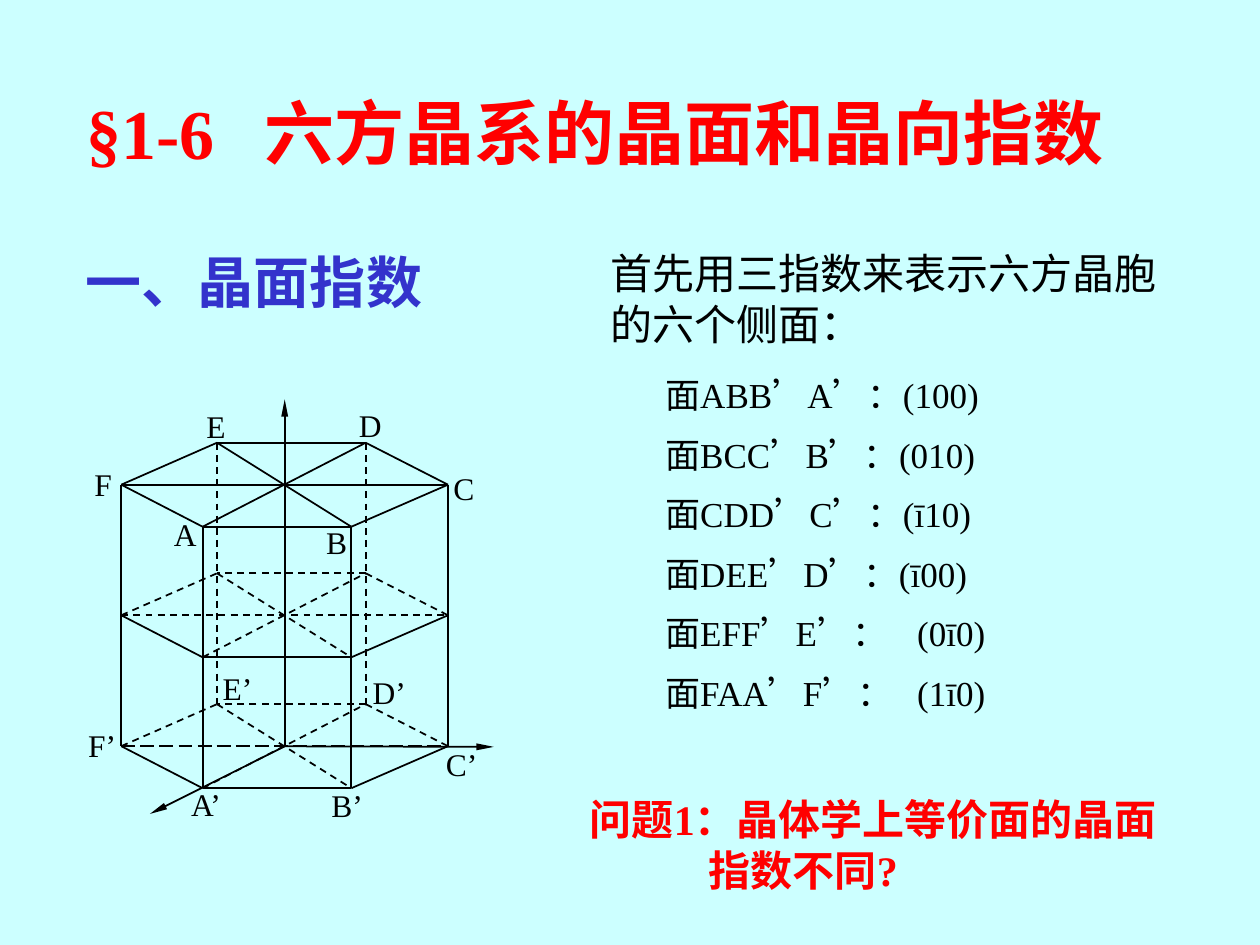
from dataclasses import dataclass
from typing import NamedTuple

from lxml.etree import SubElement
from pptx import Presentation
from pptx.dml.color import RGBColor
from pptx.enum.dml import MSO_LINE
from pptx.enum.shapes import MSO_CONNECTOR
from pptx.enum.text import MSO_ANCHOR, PP_ALIGN
from pptx.oxml.ns import qn
from pptx.util import Pt


@dataclass(frozen=True)
class Theme:
    font: str = "Times New Roman"
    background: RGBColor = RGBColor(0xCC, 0xFF, 0xFF)
    ink: RGBColor = RGBColor(0, 0, 0)
    red: RGBColor = RGBColor(0xFF, 0, 0)
    blue: RGBColor = RGBColor(0x33, 0x33, 0xCC)
    title: int = 40
    heading: int = 32
    body: int = 24
    faces: int = 20
    label: int = 18
    line: int = 1


class Point(NamedTuple):
    x: float
    y: float


class Box(NamedTuple):
    left: float
    top: float
    width: float
    height: float


class Label(NamedTuple):
    text: str
    left: float
    top: float


class Level(NamedTuple):
    drop: float
    styles: dict


THEME = Theme()
DASH, LONG_DASH = MSO_LINE.DASH, MSO_LINE.LONG_DASH

CORNERS = {
    "A": Point(115.8, 301), "B": Point(200.8, 301), "C": Point(256, 277),
    "D": Point(209, 253), "E": Point(124, 253), "F": Point(69.3, 277),
}
FRONT_EDGES = ("AB", "FA", "BC")
BACK_EDGES = ("DE", "DC", "FE", "FC", "EB", "AD")
HIDDEN = dict.fromkeys(BACK_EDGES, DASH)
LEVELS = (
    Level(0, {}),
    Level(74.6, HIDDEN),
    Level(149.4, {**HIDDEN, "FC": LONG_DASH}),
)
HEIGHT = LEVELS[-1].drop
CENTER = Point(162.7, 426.5)
AXIS_TIPS = (Point(162.7, 228.2), Point(85.7, 465.1), Point(282.2, 426.8))

LABELS = (
    Label("A", 92.2, 290.9), Label("B", 179.3, 295.2), Label("C", 252, 264.2),
    Label("D", 198, 228.2), Label("E", 110.9, 229), Label("F", 46.8, 262.1),
    Label("A’", 102.2, 445), Label("B’", 182.2, 445.7), Label("C’", 247.7, 421.9),
    Label("D’", 205.9, 380.9), Label("E’", 120.2, 378.7), Label("F’", 43.2, 411.1),
)
FACES = (
    "面ABB’A’：(100)", "面BCC’B’：(010)", "面CDD’C’：(ī10)",
    "面DEE’D’：(ī00)", "面EFF’E’：\t(0ī0)", "面FAA’F’：\t(1ī0)",
)


def format_text(paragraph, size: int, color: RGBColor, bold: bool = False) -> None:
    for run in paragraph.runs:
        run.font.name = THEME.font
        run.font.size = Pt(size)
        run.font.color.rgb = color
        run.font.bold = bold


def indent(paragraph, left: float, first: float = 0) -> None:
    properties = paragraph._p.get_or_add_pPr()
    properties.set("marL", str(Pt(left)))
    properties.set("indent", str(Pt(first)))


def add_tab(paragraph, position: float) -> None:
    stops = SubElement(paragraph._p.get_or_add_pPr(), qn("a:tabLst"))
    SubElement(stops, qn("a:tab"), pos=str(Pt(position)), algn="l")


def add_text(slide, box: Box, text: str, size: int, color: RGBColor,
             bold: bool = False, wrap: bool = True):
    frame = slide.shapes.add_textbox(*map(Pt, box)).text_frame
    frame.word_wrap = wrap
    frame.text = text
    format_text(frame.paragraphs[0], size, color, bold)
    return frame


def add_line(slide, start: Point, end: Point, dash=None, arrow: bool = False) -> None:
    edge = slide.shapes.add_connector(MSO_CONNECTOR.STRAIGHT, *map(Pt, (*start, *end)))
    edge.line.color.rgb = THEME.ink
    edge.line.width = Pt(THEME.line)
    if dash:
        edge.line.dash_style = dash
    if arrow:
        SubElement(edge.line._get_or_add_ln(), qn("a:tailEnd"),
                   type="triangle", w="sm", len="lg")
    SubElement(edge._element.spPr, qn("a:effectLst"))


def lower(corner: Point, drop: float) -> Point:
    return Point(corner.x, corner.y + drop)


def draw_prism(slide) -> None:
    for level in LEVELS:
        for start, end in FRONT_EDGES + BACK_EDGES:
            add_line(slide, lower(CORNERS[start], level.drop),
                     lower(CORNERS[end], level.drop), level.styles.get(start + end))
    for name, corner in CORNERS.items():
        add_line(slide, corner, lower(corner, HEIGHT), DASH if name in "DE" else None)
    for tip in AXIS_TIPS:
        add_line(slide, CENTER, tip, arrow=True)
    for label in LABELS:
        add_text(slide, Box(label.left, label.top, 34, 29), label.text,
                 THEME.label, THEME.ink, wrap=False)


def write_title(slide) -> None:
    title = slide.shapes.title
    title.left, title.top, title.width, title.height = map(Pt, (42, 30, 630, 90))
    frame = title.text_frame
    frame.text = "§1-6\t六方晶系的晶面和晶向指数"
    frame.vertical_anchor = MSO_ANCHOR.MIDDLE
    heading = frame.paragraphs[0]
    add_tab(heading, 102)
    heading.alignment = PP_ALIGN.LEFT
    format_text(heading, THEME.title, THEME.red, True)


def write_faces(slide) -> None:
    frame = add_text(slide, Box(342, 138, 348, 288), "首先用三指数来表示六方晶胞的六个侧面：",
                     THEME.body, THEME.ink)
    for index, face in enumerate(FACES):
        row = frame.add_paragraph()
        row.text = face
        indent(row, 31)
        row.space_before = Pt(10 if index else 14.5)
        if "\t" in face:
            add_tab(row, 191)
        format_text(row, THEME.faces, THEME.ink)


def main() -> None:
    deck = Presentation()
    deck.slide_width, deck.slide_height = Pt(720), Pt(540)
    slide = deck.slides.add_slide(deck.slide_layouts[5])
    slide.background.fill.solid()
    slide.background.fill.fore_color.rgb = THEME.background
    write_title(slide)
    add_text(slide, Box(42, 138, 312, 54), "一、晶面指数", THEME.heading, THEME.blue, True)
    write_faces(slide)
    draw_prism(slide)
    question = add_text(slide, Box(330, 450, 354, 65), "问题1：晶体学上等价面的晶面指数不同?",
                        THEME.body, THEME.red, True)
    indent(question.paragraphs[0], 68, -68)
    deck.save("out.pptx")


if __name__ == "__main__":
    main()
